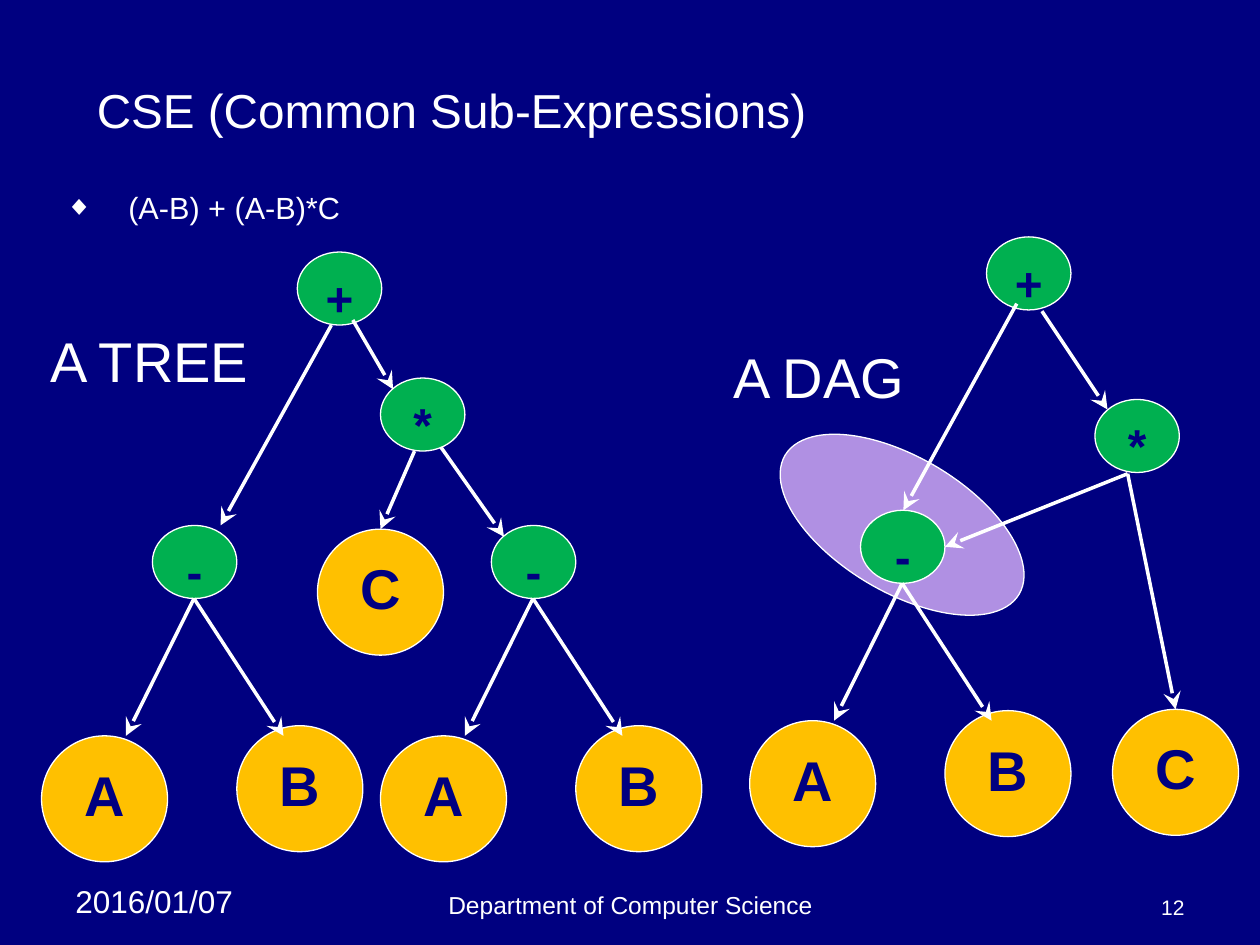
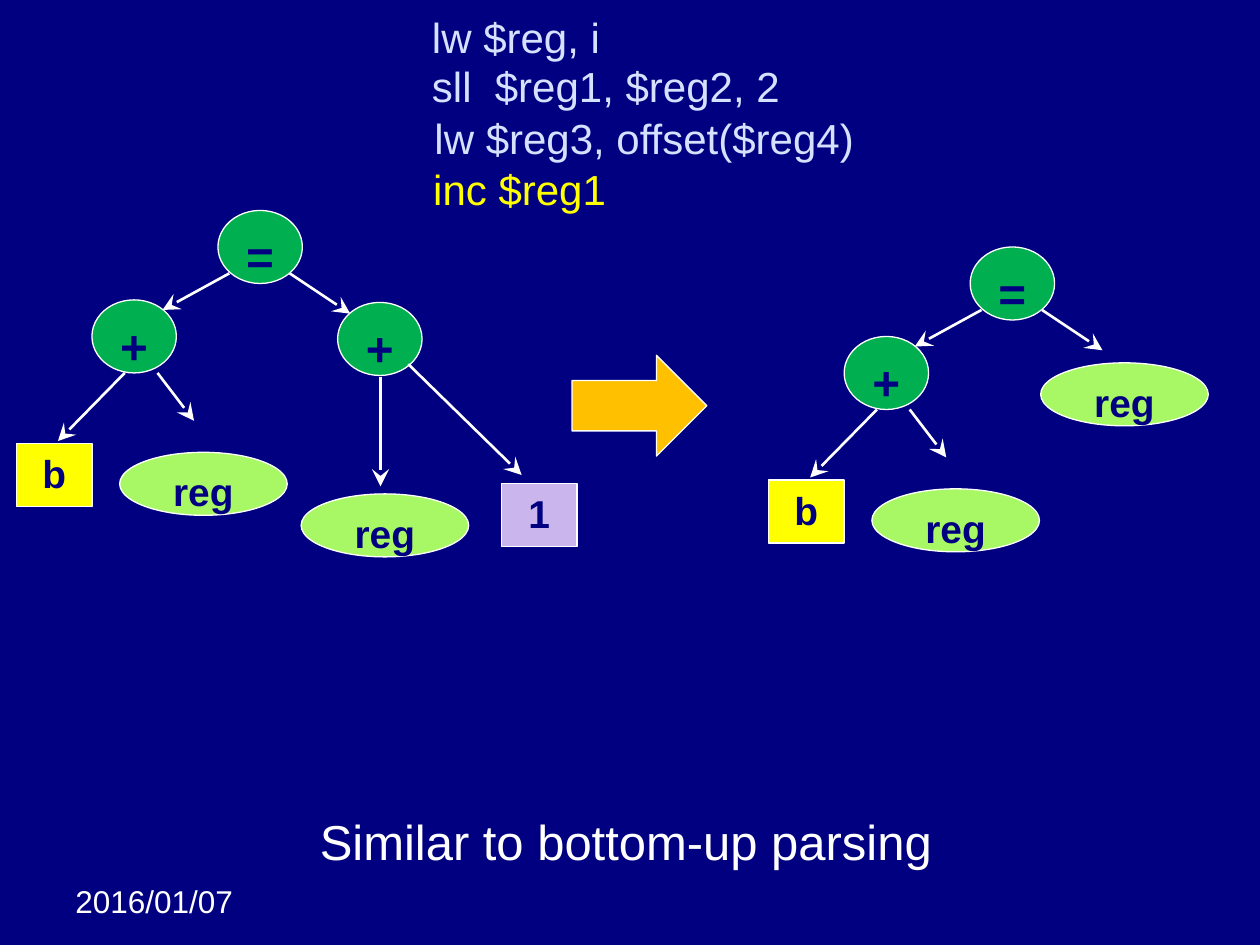
from pptx import Presentation
from pptx.util import Inches, Pt
from pptx.dml.color import RGBColor
from pptx.enum.shapes import MSO_SHAPE as Geo, MSO_CONNECTOR as Link
from pptx.enum.text import PP_ALIGN as Align, MSO_ANCHOR as Anchor
from pptx.oxml.ns import qn
from lxml.etree import SubElement as Sub

NAVY, WHITE, PALE, YELLOW = "000080", "FFFFFF", "D6E0FF", "FFFF00"
GOLD, GREEN, LIME = "FFC000", "00B050", "A7F864"
LILAC, MAUVE = "B090E3", "CAB5EC"

KINDS = {
    "op": (Geo.OVAL, 0.67, 0.58, GREEN, 27.2),
    "leaf": (Geo.OVAL, 1, 1, GOLD, 32),
    "reg": (Geo.OVAL, 1.33, 0.5, LIME, 22.2),
    "name": (Geo.RECTANGLE, 0.6, 0.5, YELLOW, 22.2),
    "num": (Geo.RECTANGLE, 0.6, 0.5, MAUVE, 22.2),
    "oval": (Geo.OVAL, 2.16, 1.07, LILAC, 0),
    "arrow": (Geo.RIGHT_ARROW, 1.07, 0.8, GOLD, 0),
}

DATE = ("2016/01/07", 0.5, 6.95, 1.58, 0.4, {"size": 18})

MINUS = {
    "nodes": [("leaf", "A", -0.88, 1.67), ("leaf", "B", 0.67, 1.59),
              ("op", "-", 0, 0)],
    "lines": [(0.33, 0.58, -0.21, 1.67), (0.33, 0.58, 1.04, 1.67)],
}
ASSIGN = {
    "nodes": [("op", "=", 0, 0), ("op", "+", -1, 0.71),
              ("name", "b", -1.6, 1.85), ("reg", "reg", -0.78, 1.92)],
    "lines": [(0.09, 0.5, -0.44, 0.79), (0.57, 0.5, 1.05, 0.82),
              (-0.48, 1.29, -0.19, 1.67), (-0.74, 1.29, -1.27, 1.83)],
}

CSE = {
    "texts": [
        ("Department of Computer Science", 3.42, 6.83, 3.17, 0.52,
         {"size": 14, "align": Align.CENTER, "anchor": Anchor.BOTTOM}),
        ("12", 7.17, 6.83, 2.33, 0.52,
         {"size": 12, "align": Align.RIGHT, "anchor": Anchor.BOTTOM}),
        ("CSE (Common Sub-Expressions)", 0.67, 0.58, 8.5, 0.58,
         {"size": 27.2, "anchor": Anchor.MIDDLE}),
        ("(A-B) + (A-B)*C", 0.42, 1.45, 9.08, 0.7,
         {"size": 17.5, "bullet": "◆"}),
        ("A TREE", 0.3, 2.54, 1.8, 0.64, {"size": 32, "wrap": False}),
        ("A DAG", 5.72, 2.67, 1.58, 0.64, {"size": 32, "wrap": False}),
    ],
    "back": ("oval", 6.08, 3.63, 30.7),
    "unit": MINUS,
    "spots": [(1.21, 4.17), (3.9, 4.17), (6.83, 4.05)],
    "nodes": [("op", "*", 3.02, 3), ("leaf", "C", 2.52, 4.2),
              ("op", "+", 2.36, 2), ("leaf", "C", 8.83, 5.63),
              ("op", "*", 8.69, 3.17), ("op", "+", 7.83, 1.88)],
    "lines": [(3.29, 3.58, 3.02, 4.2), (3.5, 3.55, 4, 4.26),
              (2.8, 2.54, 3.12, 3.09), (2.63, 2.58, 1.75, 4.17),
              (8.95, 3.76, 7.5, 4.34), (8.95, 3.76, 9.33, 5.63),
              (8.07, 2.41, 7.17, 4.05), (8.27, 2.47, 8.79, 3.25)],
    "width": 2,
}

CODE = {"size": 24, "color": PALE, "wrap": False}
MATCH = {
    "texts": [
        ("lw $reg, i", 3.33, 0.04, 1.62, 0.5, CODE),
        ("sll  $reg1, $reg2, 2", 3.33, 0.43, 2.96, 0.5, CODE),
        ("lw $reg3, offset($reg4)", 3.35, 0.84, 3.53, 0.5, CODE),
        ("inc $reg1", 3.34, 1.25, 1.57, 0.5, {**CODE, "color": YELLOW}),
        ("Similar to bottom-up parsing", 2.44, 6.39, 5.2, 0.57,
         {"size": 28}),
    ],
    "back": ("arrow", 4.54, 2.82, 0),
    "unit": ASSIGN,
    "spots": [(1.73, 1.67), (7.7, 1.96)],
    "nodes": [("op", "+", 2.68, 2.4), ("num", "1", 3.98, 3.84),
              ("reg", "reg", 2.39, 3.92), ("reg", "reg", 8.26, 2.88)],
    "lines": [(3.02, 2.99, 3.02, 3.86), (3.24, 2.89, 4.14, 3.77)],
    "width": 1.5,
}


def rgb(code):
    return RGBColor.from_string(code)


def put(item, vals):
    for key, val in vals.items():
        setattr(item, key, val)


def write(shape, text, size, color=WHITE, bold=False, align=Align.LEFT,
          anchor=Anchor.TOP, wrap=True, bullet=None):
    frame = shape.text_frame
    put(frame, {"word_wrap": wrap, "vertical_anchor": anchor})
    par = frame.paragraphs[0]
    par.alignment = align
    run = par.add_run()
    run.text = text
    put(run.font, {"name": "Arial", "size": Pt(size), "bold": bold})
    run.font.color.rgb = rgb(color)
    if bullet:
        props = par._p.get_or_add_pPr()
        props.set("marL", str(Inches(0.5)))
        props.set("indent", str(Inches(-0.5)))
        Sub(props, qn("a:buSzPct"), val="90000")
        Sub(props, qn("a:buFont"), typeface="Arial")
        Sub(props, qn("a:buChar"), char=bullet)


def label(slide, text, x, y, w, h, style):
    box = slide.shapes.add_textbox(*map(Inches, (x, y, w, h)))
    write(box, text, **style)


def node(slide, kind, text, x, y):
    geo, w, h, fill, size = KINDS[kind]
    shape = slide.shapes.add_shape(geo, *map(Inches, (x, y, w, h)))
    shape.shadow.inherit = False
    shape.fill.solid()
    shape.fill.fore_color.rgb = rgb(fill)
    shape.line.color.rgb = rgb(WHITE)
    shape.line.width = Pt(0.75)
    if text:
        write(shape, text, size, NAVY, True, Align.CENTER)
    return shape


def edge(slide, ends, width):
    link = slide.shapes.add_connector(Link.STRAIGHT, *map(Inches, ends))
    link.line.color.rgb = rgb(WHITE)
    link.line.width = Pt(width)
    props = link._element.spPr
    Sub(props.find(qn("a:ln")), qn("a:tailEnd"),
        type="stealth", w="lg", len="lg")
    Sub(props, qn("a:effectLst"))


def build(deck, page):
    slide = deck.slides.add_slide(deck.slide_layouts[6])
    kind, x, y, turn = page["back"]
    node(slide, kind, "", x, y).rotation = turn
    nodes, lines = list(page["nodes"]), list(page["lines"])
    for x, y in page["spots"]:
        nodes += [(kind, text, x + dx, y + dy)
                  for kind, text, dx, dy in page["unit"]["nodes"]]
        lines += [(x + a, y + b, x + c, y + d)
                  for a, b, c, d in page["unit"]["lines"]]
    for item in nodes:
        node(slide, *item)
    for ends in lines:
        edge(slide, ends, page["width"])
    for item in [DATE, *page["texts"]]:
        label(slide, *item)


def main():
    deck = Presentation()
    put(deck, {"slide_width": Inches(10), "slide_height": Inches(7.5)})
    back = deck.slide_master.background.fill
    back.solid()
    back.fore_color.rgb = rgb(NAVY)
    for page in (CSE, MATCH):
        build(deck, page)
    deck.save("out.pptx")


if __name__ == "__main__":
    main()
